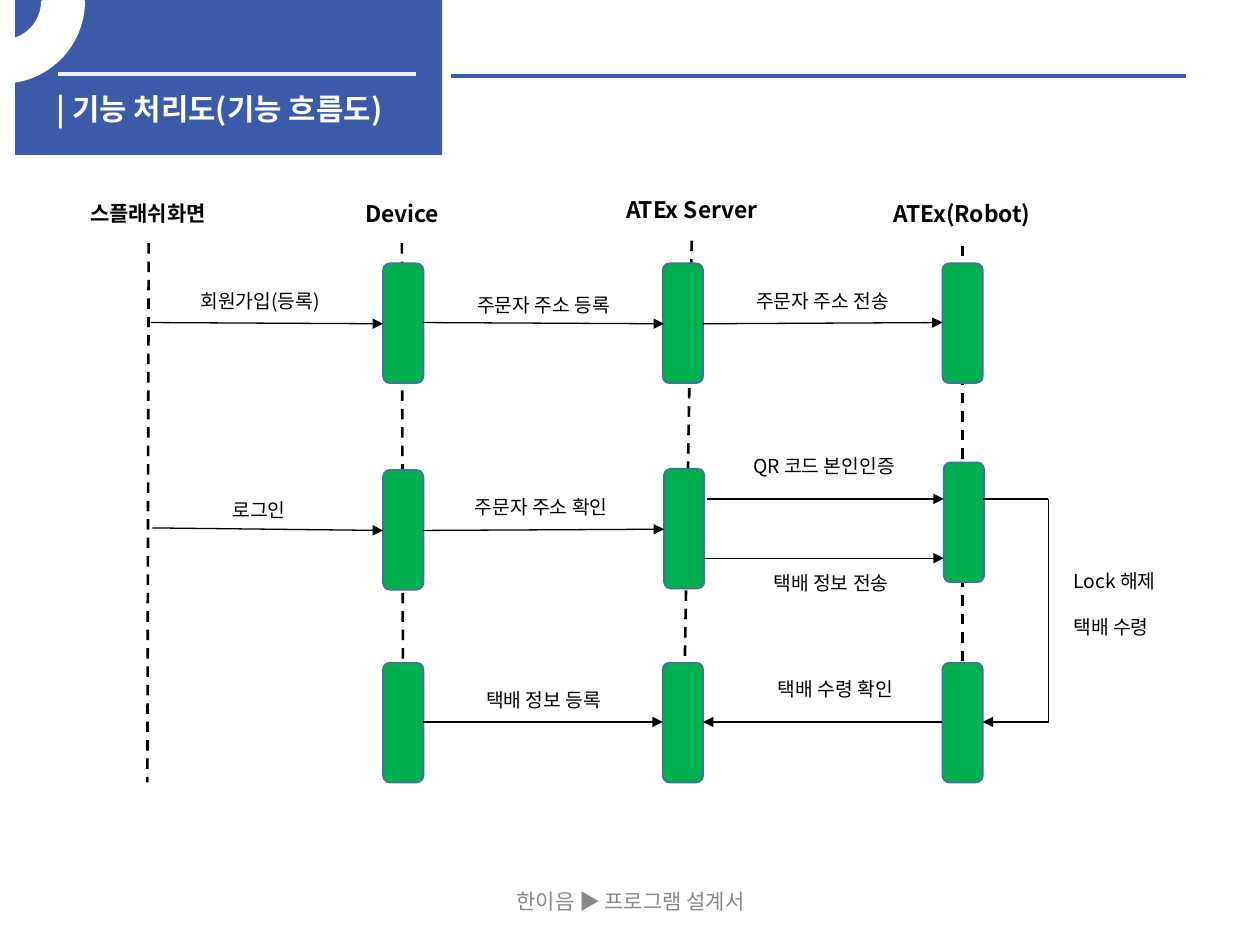
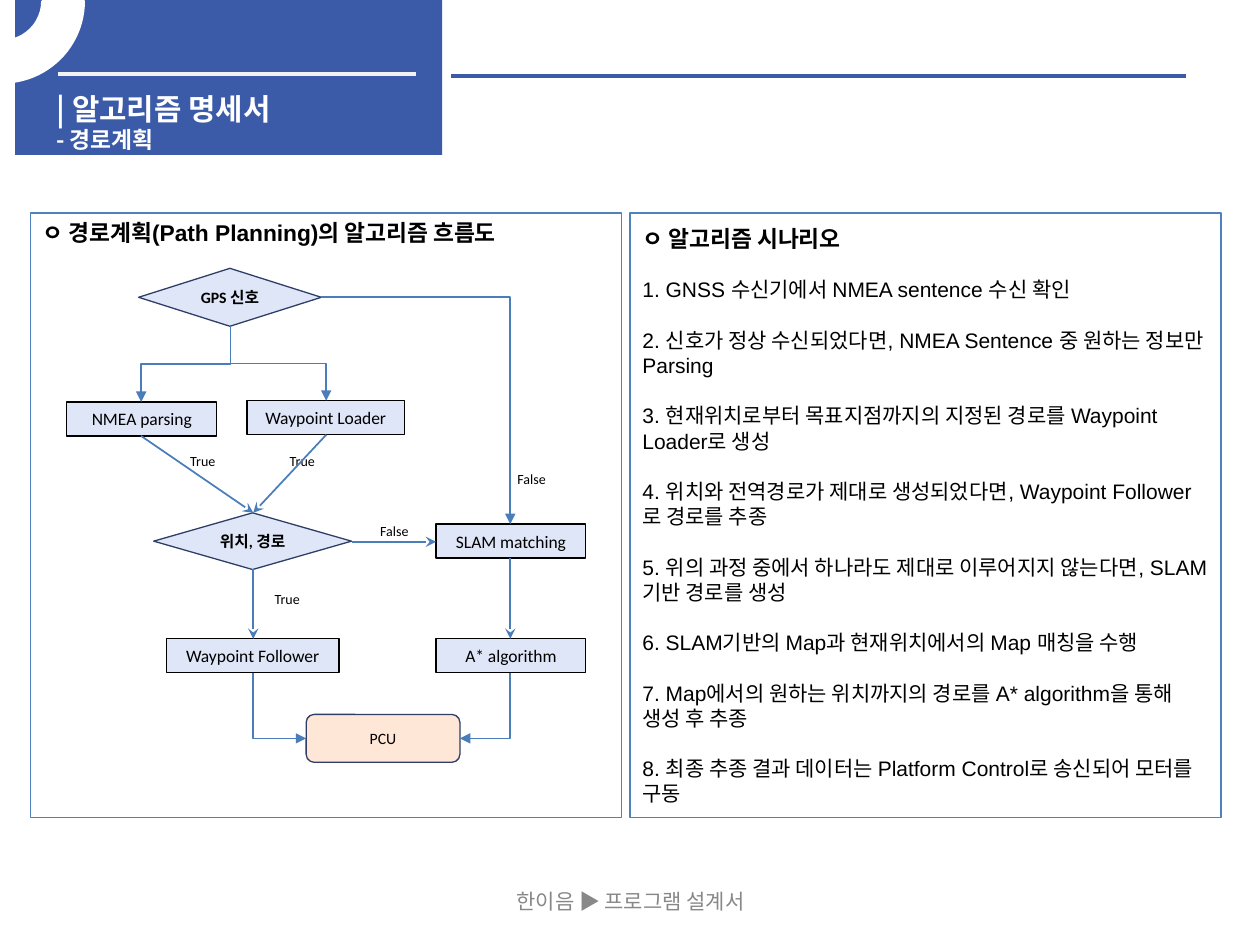
from lxml.etree import SubElement
from pptx import Presentation
from pptx.dml.color import RGBColor
from pptx.enum.dml import MSO_LINE
from pptx.enum.shapes import MSO_CONNECTOR, MSO_SHAPE
from pptx.enum.text import MSO_ANCHOR, PP_ALIGN
from pptx.oxml.ns import qn
from pptx.util import Inches, Pt

BRAND_BLUE = RGBColor(0x3B, 0x5A, 0xA8)
PALE_GRAY = RGBColor(0xF2, 0xF2, 0xF2)
FOOTER_GRAY = RGBColor(0x88, 0x88, 0x88)
WHITE = RGBColor(0xFF, 0xFF, 0xFF)
BLACK = RGBColor(0x00, 0x00, 0x00)
BAR_GREEN = RGBColor(0x00, 0xB0, 0x50)
BAR_EDGE = RGBColor(0x42, 0x71, 0x9B)
PANEL_EDGE = RGBColor(0x4F, 0x81, 0xBD)
FLOW_BLUE = RGBColor(0x4A, 0x7E, 0xBB)
NODE_FILL = RGBColor(0xDF, 0xE6, 0xF7)
NODE_EDGE = RGBColor(0x2E, 0x3E, 0x66)
PCU_FILL = RGBColor(0xFF, 0xE7, 0xD8)
KOREAN_FONT = "Noto Sans CJK KR"


def write(shape, texts, size, font=KOREAN_FONT, color=BLACK, bold=False,
          align=PP_ALIGN.CENTER, anchor=MSO_ANCHOR.MIDDLE, gap=0):
    """Fill a shape with one paragraph per text, gap points apart."""
    frame = shape.text_frame
    frame.word_wrap = align == PP_ALIGN.LEFT
    frame.vertical_anchor = anchor
    for index, text in enumerate(texts):
        para = frame.add_paragraph() if index else frame.paragraphs[0]
        para.text = text
        para.alignment = align
        para.line_spacing = Pt(size * 1.2)
        if index and gap:
            para.space_before = Pt(gap)
        para.font.size = Pt(size)
        para.font.bold = bold
        para.font.color.rgb = color
        para.font.name = font
        defaults = para._p.pPr.find(qn("a:defRPr"))
        SubElement(defaults, qn("a:ea"), typeface=KOREAN_FONT)
    return frame.paragraphs


def connect(page, start, end, color, width, head=None, bend=None, down=True):
    """Draw a line; a bent one leaves its start downwards or sideways."""
    (x1, y1), (x2, y2) = start, end
    turned = bend and down
    if turned:
        # Lay the route on its side, then turn it by 90 degrees
        mid_x, mid_y = (x1 + x2) / 2, (y1 + y2) / 2
        half_w, half_h = (x2 - x1) / 2, (y2 - y1) / 2
        x1, y1, x2, y2 = mid_x - half_h, mid_y + half_w, mid_x + half_h, mid_y - half_w
    kind = MSO_CONNECTOR.ELBOW if bend else MSO_CONNECTOR.STRAIGHT
    line = page.shapes.add_connector(kind, Inches(x1), Inches(y1), Inches(x2), Inches(y2))
    line.line.color.rgb = color
    line.line.width = Pt(width)
    properties = line._element.spPr
    if bend:
        properties.find(qn("a:prstGeom")).set("prst", bend)
    if turned:
        properties.find(qn("a:xfrm")).set("rot", "5400000")
    if head:
        SubElement(line.line._get_or_add_ln(), qn("a:tailEnd"), type=head)
    SubElement(properties, qn("a:effectLst"))
    return line


deck = Presentation()
deck.slide_width, deck.slide_height = Inches(10), Inches(7.5)

# Shared header and footer
pages = []
for title in (["| 기능 처리도(기능 흐름도)"], ["| 알고리즘 명세서", "- 경로계획"]):
    page = deck.slides.add_slide(deck.slide_layouts[6])
    pages.append(page)
    band = page.shapes.add_shape(MSO_SHAPE.RECTANGLE, Inches(0.12), 0, Inches(3.39), Inches(1.23))
    band.shadow.inherit = False
    band.fill.solid()
    band.fill.fore_color.rgb = BRAND_BLUE
    band.line.fill.background()
    connect(page, (0.46, 0.59), (3.3, 0.59), PALE_GRAY, 2.25)
    connect(page, (3.58, 0.6), (9.41, 0.6), BRAND_BLUE, 2.25)

    box = page.shapes.add_textbox(Inches(0.35), Inches(0.67), Inches(3.5), Inches(0.3))
    paras = write(box, title, 17, color=WHITE, bold=True,
                  align=PP_ALIGN.LEFT, anchor=MSO_ANCHOR.TOP)
    for para in paras[1:]:
        para.font.size = Pt(13)
        para.line_spacing = Pt(15.6)

    arc = page.shapes.add_shape(MSO_SHAPE.BLOCK_ARC, Inches(-0.63), Inches(-0.63),
                                Inches(1.29), Inches(1.28))
    arc.shadow.inherit = False
    arc.rotation = 180
    arc._element.spPr.find(qn("a:xfrm")).set("flipH", "1")
    for index, value in enumerate((96.95, 0, 0.25)):
        arc.adjustments[index] = value
    arc.fill.solid()
    arc.fill.fore_color.rgb = WHITE
    arc.line.color.rgb = WHITE
    arc.line.width = Pt(2)

    footer = page.shapes.add_textbox(Inches(3.42), Inches(6.95), Inches(3.17), Inches(0.4))
    write(footer, ["한이음 ▶ 프로그램 설계서"], 12, color=FOOTER_GRAY)

sequence_page, algorithm_page = pages

# Sequence diagram: lifelines with their heads
lifelines = [
    ("스플래쉬화면", 12, (0.47, 1.45, 1.41), (1.18, 1.93), (1.17, 6.21)),
    ("Device", 13, (2.76, 1.45, 0.86), (3.19, 1.93), (3.2, 6.21)),
    ("ATEx Server", 13, (4.74, 1.42, 1.5), (5.49, 1.91), (5.42, 6.21)),
    ("ATEx(Robot)", 13, (6.95, 1.45, 1.37), (7.64, 1.95), (7.64, 6.21)),
]
for name, size, (left, top, width), start, end in lifelines:
    lifeline = connect(sequence_page, start, end, BLACK, 1.5)
    lifeline.line.dash_style = MSO_LINE.DASH
    box = sequence_page.shapes.add_textbox(Inches(left), Inches(top), Inches(width), Inches(0.48))
    write(box, [name], size, bold=True)

# Activation bars
bars = [
    (3.04, 2.09), (5.26, 2.09), (7.48, 2.09),
    (3.04, 3.73), (5.27, 3.72), (7.49, 3.67),
    (3.04, 5.26), (5.26, 5.26), (7.48, 5.26),
]
for left, top in bars:
    bar = sequence_page.shapes.add_shape(MSO_SHAPE.ROUNDED_RECTANGLE, Inches(left), Inches(top),
                                         Inches(0.32), Inches(0.95))
    bar.shadow.inherit = False
    bar.fill.solid()
    bar.fill.fore_color.rgb = BAR_GREEN
    bar.line.color.rgb = BAR_EDGE
    bar.line.width = Pt(1)

# Messages: text, label place, arrow from and to
messages = [
    ("회원가입(등록)", (1.39, 2.24, 1.35), (1.2, 2.56), (3.04, 2.57)),
    ("주문자 주소 등록", (3.5, 2.27, 1.63), (3.36, 2.56), (5.27, 2.57)),
    ("주문자 주소 전송", (5.78, 2.24, 1.5), (5.58, 2.57), (7.48, 2.56)),
    ("로그인", (1.66, 3.9, 0.79), (1.21, 4.19), (3.04, 4.21)),
    ("주문자 주소 확인", (3.48, 3.88, 1.63), (3.36, 4.21), (5.27, 4.2)),
    ("QR 코드 본인인증", (5.7, 3.55, 1.68), (5.61, 3.96), (7.49, 3.96)),
    ("택배 정보 전송", (5.94, 4.48, 1.31), (5.59, 4.43), (7.49, 4.43)),
    ("택배 정보 등록", (3.52, 5.41, 1.59), (3.36, 5.73), (5.26, 5.73)),
    ("택배 수령 확인", (5.97, 5.32, 1.32), (7.48, 5.73), (5.58, 5.73)),
]
for text, (left, top, width), start, end in messages:
    connect(sequence_page, start, end, BLACK, 0.75, "triangle")
    label = sequence_page.shapes.add_textbox(Inches(left), Inches(top), Inches(width), Inches(0.29))
    write(label, [text], 11)

# Unlock loop on the robot lifeline
connect(sequence_page, (7.8, 3.96), (8.32, 3.96), BLACK, 0.75)
connect(sequence_page, (8.32, 3.96), (7.8, 5.73), BLACK, 0.75, "triangle", "bentConnector2")
label = sequence_page.shapes.add_textbox(Inches(8.42), Inches(4.46), Inches(1.11), Inches(0.66))
write(label, ["Lock 해제", "택배 수령"], 11, align=PP_ALIGN.LEFT, gap=13.2)

# Algorithm page: two panels
flow_heading = ["ㅇ 경로계획(Path Planning)의 알고리즘 흐름도"]
scenario = [
    "ㅇ 알고리즘 시나리오",
    "1. GNSS 수신기에서 NMEA sentence 수신 확인",
    "2. 신호가 정상 수신되었다면, NMEA Sentence 중 원하는 정보만 Parsing",
    "3. 현재위치로부터 목표지점까지의 지정된 경로를 Waypoint Loader로 생성",
    "4. 위치와 전역경로가 제대로 생성되었다면, Waypoint Follower로 경로를 추종",
    "5. 위의 과정 중에서 하나라도 제대로 이루어지지 않는다면, SLAM 기반 경로를 생성",
    "6. SLAM기반의 Map과 현재위치에서의 Map 매칭을 수행",
    "7. Map에서의 원하는 위치까지의 경로를 A* algorithm을 통해 생성 후 추종",
    "8. 최종 추종 결과 데이터는 Platform Control로 송신되어 모터를 구동",
]
for left, texts, anchor in ((0.24, flow_heading, MSO_ANCHOR.TOP),
                            (5, scenario, MSO_ANCHOR.MIDDLE)):
    panel = algorithm_page.shapes.add_shape(MSO_SHAPE.RECTANGLE, Inches(left), Inches(1.69),
                                            Inches(4.69), Inches(4.8))
    panel.shadow.inherit = False
    panel.fill.background()
    panel.line.color.rgb = PANEL_EDGE
    panel.line.width = Pt(0.75)
    heading = write(panel, texts, 12, "Arial", align=PP_ALIGN.LEFT, anchor=anchor, gap=14.4)[0]
    heading.font.size = Pt(13)
    heading.font.bold = True
    heading.line_spacing = Pt(15.6)

# Branch labels
branches = [
    ("True", 1.39, 3.54, 0.44), ("True", 2.18, 3.54, 0.44), ("True", 2.06, 4.63, 0.44),
    ("False", 3.96, 3.68, 0.52), ("False", 2.87, 4.09, 0.52),
]
for text, left, top, width in branches:
    label = algorithm_page.shapes.add_textbox(Inches(left), Inches(top), Inches(width), Inches(0.24))
    write(label, [text], 8, "Calibri")

# Flowchart nodes
decision = (MSO_SHAPE.DIAMOND, NODE_FILL, NODE_EDGE, 9, True)
process = (MSO_SHAPE.RECTANGLE, NODE_FILL, BLACK, 10, False)
terminal = (MSO_SHAPE.ROUNDED_RECTANGLE, PCU_FILL, NODE_EDGE, 9, False)
nodes = [
    ("GPS 신호", decision, 1.1, 2.13, 1.45, 0.46),
    ("NMEA parsing", process, 0.53, 3.19, 1.19, 0.27),
    ("Waypoint Loader", process, 1.96, 3.18, 1.25, 0.27),
    ("위치, 경로", decision, 1.22, 4.07, 1.57, 0.45),
    ("SLAM matching", process, 3.46, 4.16, 1.19, 0.27),
    ("Waypoint Follower", process, 1.32, 5.07, 1.37, 0.27),
    ("A* algorithm", process, 3.46, 5.07, 1.19, 0.27),
    ("PCU", terminal, 2.43, 5.67, 1.22, 0.38),
]
for text, (kind, fill, edge, size, bold), left, top, width, height in nodes:
    node = algorithm_page.shapes.add_shape(kind, Inches(left), Inches(top),
                                           Inches(width), Inches(height))
    node.shadow.inherit = False
    node.fill.solid()
    node.fill.fore_color.rgb = fill
    node.line.color.rgb = edge
    node.line.width = Pt(0.75)
    write(node, [text], size, "Calibri", bold=bold)

# Straight flow arrows
for start, end in [
    ((1.12, 3.46), (2.01, 4.07)), ((2.59, 3.45), (2.01, 4.07)),
    ((2.01, 4.52), (2.01, 5.07)), ((2.79, 4.3), (3.46, 4.3)), ((4.05, 4.43), (4.05, 5.07)),
]:
    connect(algorithm_page, start, end, FLOW_BLUE, 1, "stealth")

# Bent flow arrows
for start, end, bend, down in [
    ((1.83, 2.59), (2.59, 3.18), "bentConnector3", True),
    ((1.83, 2.59), (1.12, 3.19), "bentConnector3", True),
    ((2.55, 2.36), (4.05, 4.16), "bentConnector2", False),
    ((2.01, 5.34), (2.43, 5.86), "bentConnector2", True),
    ((4.05, 5.34), (3.65, 5.86), "bentConnector2", True),
]:
    connect(algorithm_page, start, end, FLOW_BLUE, 1, "triangle", bend, down)

deck.save("out.pptx")
